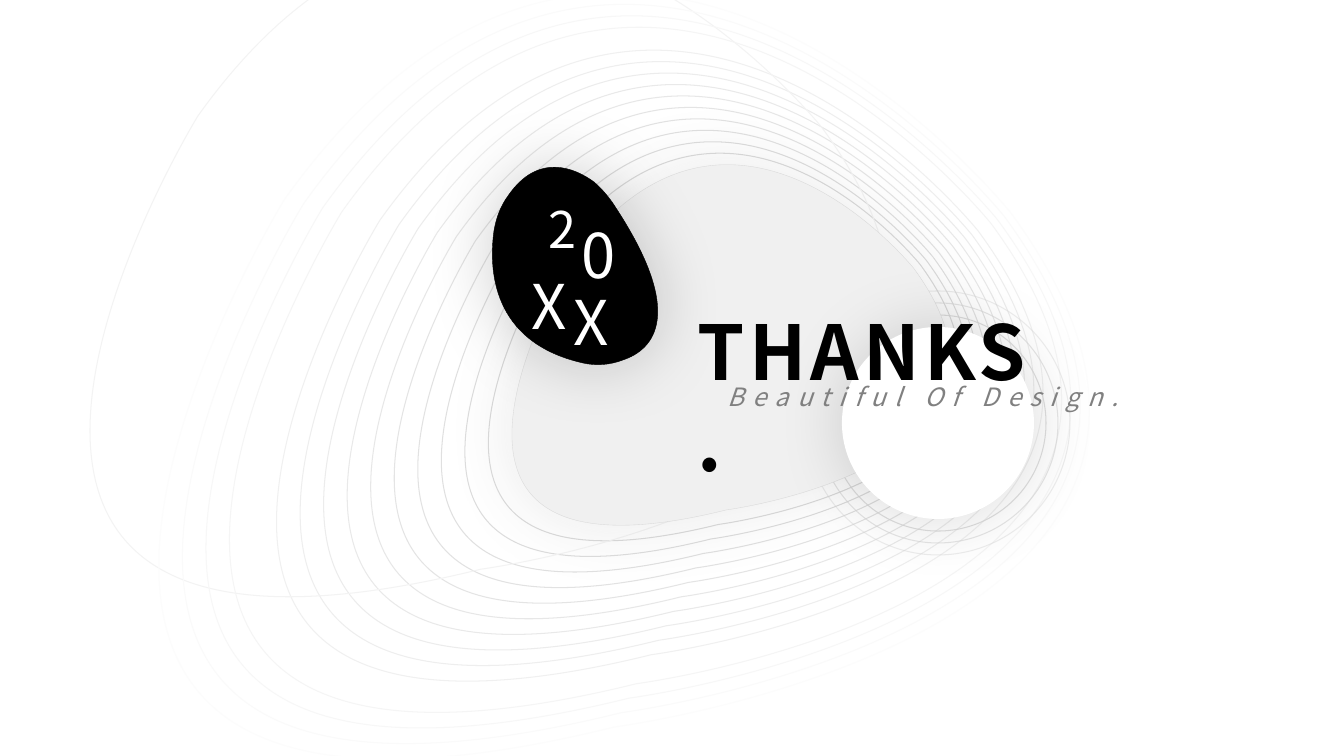
import dataclasses

import pptx
import pptx.dml.color
import pptx.enum.shapes
import pptx.enum.text
import pptx.oxml
import pptx.oxml.ns
import pptx.util

EMU_PER_PIXEL = 914400 / 100.8


@dataclasses.dataclass(frozen=True)
class Theme:
    """Colours, font and type sizes of the slide."""
    font: str = "Noto Sans CJK SC"
    black: str = "000000"
    white: str = "FFFFFF"
    subtitle_grey: str = "808080"
    pebble_grey: str = "F0F0F0"
    line_grey: str = "D9D9D9"
    pebble_shadow: str = "323232"
    title_size: int = 54
    year_size: int = 44
    year_small_size: int = 36
    subtitle_size: int = 18


THEME = Theme()

# Each curve: first control point, second control point, end point.
PEBBLE_INNER = [(781, 503), (1070, 332), (859, 207), (600, 69), (541, 335), (483, 728)]
PEBBLE_OUTER = [(731, 712), (1345, 349), (894, 83), (346, -211), (221, 356), (97, 1189)]
RING_COUNT = 15
STRAY_RING = 11
STRAY_SHIFT = (-163, -100)
PEBBLE_TILT = 23.1
BADGE_START = (594, 182)
BADGE_CURVES = [
    [(575, 168), (538, 152), (508, 196)],
    [(500, 207), (496, 219), (494, 231)],
    [(489, 267), (490, 342), (583, 363)],
    [(596, 366), (610, 365), (623, 360)],
    [(653, 350), (688, 315), (612, 202)],
    [(607, 195), (601, 188), (594, 182)],
]
DISC_CENTRE = (938, 423)
DISC_RADIUS = 96
HALO_GAP = 12
HALO_ALPHAS = [82, 64, 45]


def px(length):
    """Turn picture pixels into EMU."""
    return pptx.util.Emu(round(length * EMU_PER_PIXEL))


def rgb(code):
    """Turn a hex code into a colour."""
    return pptx.dml.color.RGBColor.from_string(code)


def add_xml(parent, tag, **attributes):
    """Append a drawing element with attributes and return it."""
    element = pptx.oxml.parse_xml(f"<a:{tag} {pptx.oxml.ns.nsdecls('a')}/>")
    for name, value in attributes.items():
        element.set(name, str(value))
    parent.append(element)
    return element


def paint(shape, fill=None, line=None, width=0.75, line_alpha=None, shadow=None):
    """Set fill, line and soft shadow; shadow is (colour, opacity percent)."""
    if fill:
        shape.fill.solid()
        shape.fill.fore_color.rgb = rgb(fill)
    else:
        shape.fill.background()
    if line:
        shape.line.color.rgb = rgb(line)
        shape.line.width = pptx.util.Pt(width)
    else:
        shape.line.fill.background()
    if line_alpha:
        line_colour = shape.line._ln.find(".//" + pptx.oxml.ns.qn("a:srgbClr"))
        add_xml(line_colour, "alpha", val=line_alpha * 1000)
    shape.shadow.inherit = False
    if shadow:
        effects = shape._element.spPr.find(pptx.oxml.ns.qn("a:effectLst"))
        outer = add_xml(effects, "outerShdw", blurRad=pptx.util.Pt(50), dist=0, dir=0,
                        algn="ctr", rotWithShape=0)
        colour = add_xml(outer, "srgbClr", val=shadow[0])
        add_xml(colour, "alpha", val=shadow[1] * 1000)


def bezier(points, t):
    """Return the point at t on a cubic curve."""
    weights = ((1 - t) ** 3, 3 * t * (1 - t) ** 2, 3 * t * t * (1 - t), t ** 3)
    return tuple(sum(w * p[axis] for w, p in zip(weights, points)) for axis in (0, 1))


def add_curved(shapes, start, curves, tilt=0, **look):
    """Add a closed outline of cubic curves; sampling gives its exact extent."""
    samples, current = [], start
    for curve in curves:
        samples += [bezier([current, *curve], step / 60) for step in range(1, 61)]
        current = curve[-1]
    builder = shapes.build_freeform(px(start[0]), px(start[1]))
    builder.add_line_segments([(px(x), px(y)) for x, y in samples])
    outline = builder.convert_to_shape()
    drawn_path = outline._element.spPr.find(".//" + pptx.oxml.ns.qn("a:path"))
    for segment in list(drawn_path)[1:]:
        drawn_path.remove(segment)
    for curve in curves:
        segment = add_xml(drawn_path, "cubicBezTo")
        for x, y in curve:
            add_xml(segment, "pt", x=px(x) - outline.left, y=px(y) - outline.top)
    add_xml(drawn_path, "close")
    outline.rotation = tilt
    paint(outline, **look)


def add_pebble(shapes, level, shift=(0, 0), **look):
    """Add the pebble outline at a level between the inner and outer ones."""
    share = level / RING_COUNT
    start, bend_1, right, bend_2, left, bend_3 = [
        tuple(a + (b - a) * share + move for a, b, move in zip(inner, outer, shift))
        for inner, outer in zip(PEBBLE_INNER, PEBBLE_OUTER)]
    curves = [[start, bend_1, right], [right, bend_2, left], [left, bend_3, start]]
    add_curved(shapes, start, curves, tilt=PEBBLE_TILT, **look)


def add_circle(shapes, radius, **look):
    """Add a circle around the disc centre."""
    x, y = DISC_CENTRE
    circle = shapes.add_shape(pptx.enum.shapes.MSO_SHAPE.OVAL, px(x - radius),
                              px(y - radius), px(2 * radius), px(2 * radius))
    paint(circle, **look)


def add_text(shapes, text, box, *, size, colour, bold=False, italic=False,
             spacing=0, wrap=False):
    """Add a one-paragraph text box; spacing is in points between letters."""
    text_box = shapes.add_textbox(*map(px, box))
    frame = text_box.text_frame
    frame.word_wrap = wrap
    frame.auto_size = pptx.enum.text.MSO_AUTO_SIZE.SHAPE_TO_FIT_TEXT
    run = frame.paragraphs[0].add_run()
    run.text = text
    run.font.name = THEME.font
    run.font.size = pptx.util.Pt(size)
    run.font.bold = bold
    run.font.italic = italic
    run.font.color.rgb = rgb(colour)
    properties = run.font._element
    add_xml(properties, "ea", typeface=THEME.font)
    if spacing:
        properties.set("spc", str(spacing * 100))


def add_year_badge(shapes):
    """Add the black badge with its four scattered characters."""
    badge = shapes.add_group_shape().shapes
    add_curved(badge, BADGE_START, BADGE_CURVES, fill=THEME.black, line=THEME.black,
               width=0.32, shadow=(THEME.black, 20))
    for character, box, size in [
            ("2", (539, 193, 45, 72), THEME.year_small_size),
            ("0", (572, 212, 51, 85), THEME.year_size),
            ("X", (522, 263, 67, 85), THEME.year_size),
            ("X", (564, 279, 67, 85), THEME.year_size)]:
        add_text(badge, character, box, size=size, colour=THEME.white)


def main():
    """Build the closing slide."""
    deck = pptx.Presentation()
    deck.slide_width, deck.slide_height = px(1344), px(756)
    shapes = deck.slides.add_slide(deck.slide_layouts[6]).shapes

    for level in range(1, RING_COUNT + 1):
        grey = round(219 + 33 * (level - 1) / (RING_COUNT - 1))
        shift = STRAY_SHIFT if level == STRAY_RING else (0, 0)
        add_pebble(shapes, level, shift, line=f"{grey:02X}" * 3)
    for order, alpha in enumerate(HALO_ALPHAS, start=1):
        add_circle(shapes, DISC_RADIUS + order * HALO_GAP, line=THEME.line_grey,
                   line_alpha=alpha)
    add_pebble(shapes, 0, fill=THEME.pebble_grey, line=THEME.line_grey, width=0.25,
               shadow=(THEME.pebble_shadow, 10))
    add_year_badge(shapes)
    add_circle(shapes, DISC_RADIUS, fill=THEME.white, shadow=(THEME.black, 15))

    closing = shapes.add_group_shape().shapes
    add_text(closing, "THANKS.", (688, 300, 359, 102), size=THEME.title_size,
             colour=THEME.black, bold=True, spacing=3, wrap=True)
    add_text(closing, "Beautiful Of Design.", (718, 376, 417, 40),
             size=THEME.subtitle_size, colour=THEME.subtitle_grey, italic=True, spacing=6)

    deck.save("out.pptx")


main()
